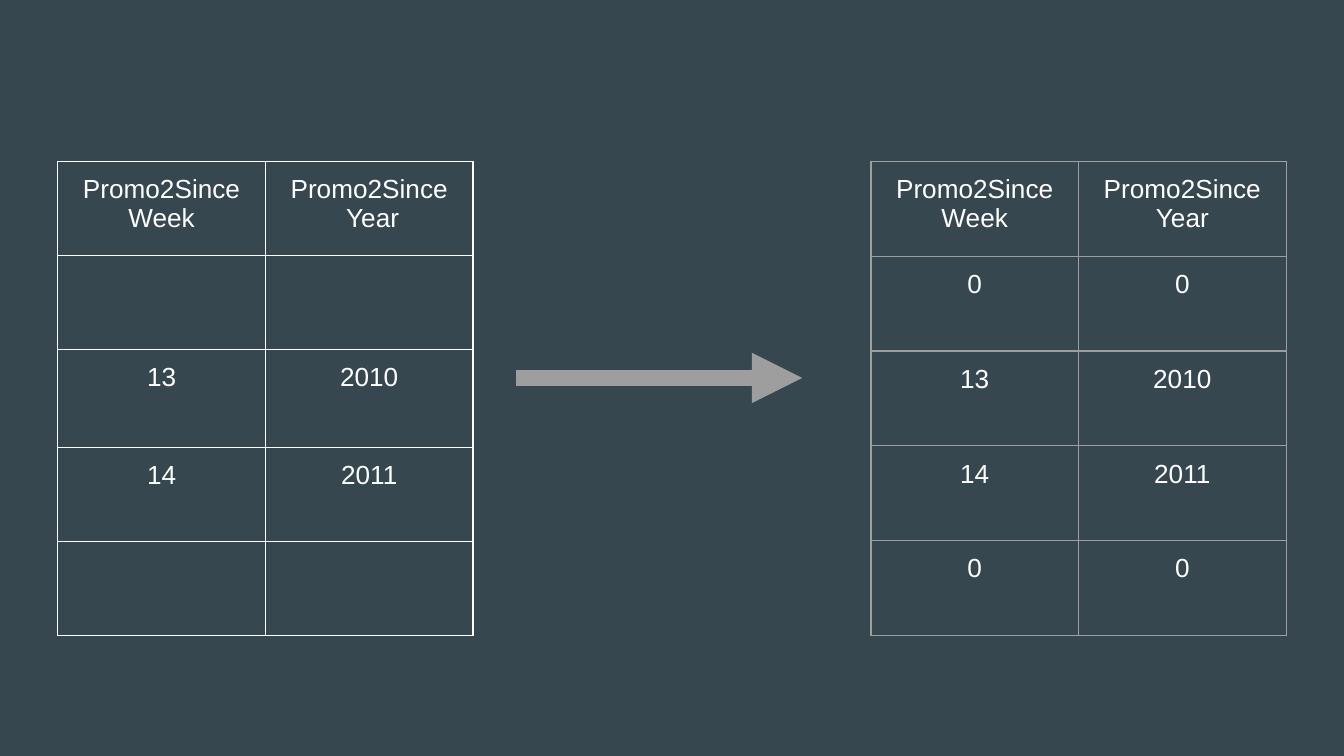
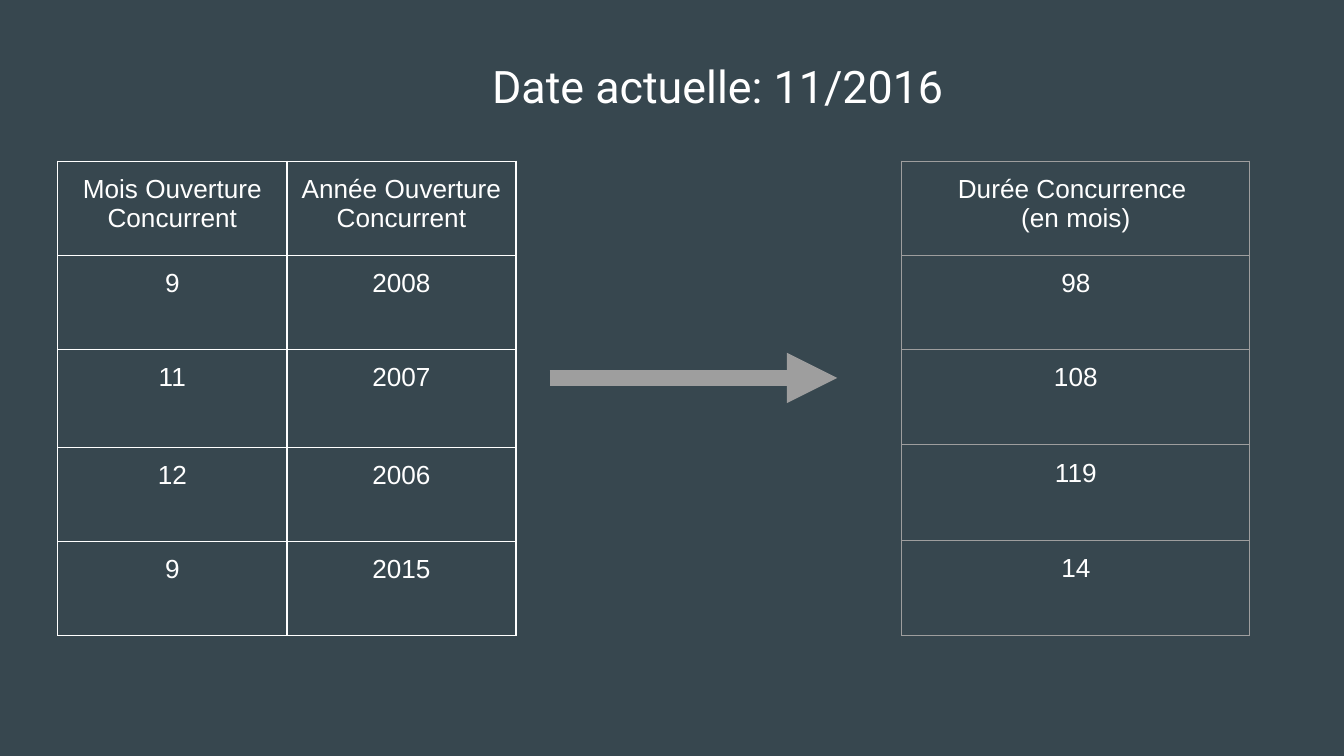
from lxml import etree
from pptx import Presentation
from pptx.dml.color import RGBColor
from pptx.enum.shapes import MSO_CONNECTOR
from pptx.enum.text import PP_ALIGN
from pptx.oxml.ns import qn
from pptx.util import Inches, Pt

STRAIGHT = MSO_CONNECTOR.STRAIGHT
CENTER = PP_ALIGN.CENTER

SLATE = RGBColor(0x37, 0x47, 0x4F)
WHITE = RGBColor(0xFF, 0xFF, 0xFF)
GRAY = RGBColor(0x9E, 0x9E, 0x9E)

MARGIN = Inches(0.1)
INPUT_ROWS = [0.7, 0.7, 0.73, 0.7, 0.7]


def write(tf, text, size=14, font="Arial", color=WHITE, align=CENTER):
    for i, line in enumerate(text.split("\n")):
        p = tf.paragraphs[0] if i == 0 else tf.add_paragraph()
        p.alignment = align
        r = p.add_run()
        r.text = line
        r.font.size = Pt(size)
        r.font.name = font
        r.font.color.rgb = color


def set_margins(target):
    target.margin_left = target.margin_right = MARGIN
    target.margin_top = target.margin_bottom = MARGIN


def set_borders(cell, color, width=0.75):
    tcPr = cell._tc.get_or_add_tcPr()
    for side in ("lnL", "lnR", "lnT", "lnB"):
        ln = etree.SubElement(tcPr, qn(f"a:{side}"), w=str(Pt(width)))
        fill = etree.SubElement(ln, qn("a:solidFill"))
        etree.SubElement(fill, qn("a:srgbClr"), val=str(color))


class Deck:
    def __init__(self):
        self.prs = Presentation()
        self.prs.slide_width = Inches(10)
        self.prs.slide_height = Inches(10) * 9 // 16
        self.s = None

    def slide(self):
        self.s = self.prs.slides.add_slide(self.prs.slide_layouts[6])
        fill = self.s.background.fill
        fill.solid()
        fill.fore_color.rgb = SLATE

    def title(self, text, x, y, w, h):
        sp = self.s.shapes.add_textbox(Inches(x), Inches(y), Inches(w), Inches(h))
        tf = sp.text_frame
        tf.word_wrap = True
        set_margins(tf)
        write(tf, text, size=24, font="Roboto")

    def table(self, x, y, width, row_heights, rows, border):
        cols = len(rows[0])
        frame = self.s.shapes.add_table(
            len(rows), cols, Inches(x), Inches(y),
            Inches(width), Inches(sum(row_heights)))
        table = frame.table
        table.first_row = False
        table.horz_banding = False
        for col in table.columns:
            col.width = Inches(width) // cols
        for i, (height, values) in enumerate(zip(row_heights, rows)):
            table.rows[i].height = Inches(height)
            for j, value in enumerate(values):
                cell = table.cell(i, j)
                set_margins(cell)
                set_borders(cell, border)
                cell.fill.background()
                if value:
                    write(cell.text_frame, value)

    def arrow(self, x1, x2):
        y = self.prs.slide_height // 2
        line = self.s.shapes.add_connector(STRAIGHT, Inches(x1), y, Inches(x2), y)
        line.line.color.rgb = GRAY
        line.line.width = Pt(9)
        ln = line._element.spPr.find(qn("a:ln"))
        etree.SubElement(ln, qn("a:tailEnd"), type="triangle")
        etree.SubElement(line._element.spPr, qn("a:effectLst"))


def promo_slide(deck):
    deck.slide()
    week = "Promo2SinceWeek"
    known = [("13", "2010"), ("14", "2011")]
    missing, filled = ("", ""), ("0", "0")
    before = [(week, "Promo2Since\n Year"), missing, *known, missing]
    after = [(week, "Promo2Since\nYear"), filled, *known, filled]
    deck.table(0.43, 1.2, 3.09, INPUT_ROWS, before, WHITE)
    deck.table(6.48, 1.2, 3.09, [3.53 / 5] * 5, after, GRAY)
    deck.arrow(3.84, 5.97)


def competition_slide(deck):
    deck.slide()
    openings = [
        ("Mois Ouverture\nConcurrent", "Année Ouverture\nConcurrent"),
        ("9", "2008"), ("11", "2007"), ("12", "2006"), ("9", "2015"),
    ]
    durations = [("Durée Concurrence \n(en mois)",), ("98",), ("108",), ("119",), ("14",)]
    deck.table(0.43, 1.2, 3.41, INPUT_ROWS, openings, WHITE)
    deck.arrow(4.09, 6.23)
    deck.table(6.71, 1.2, 2.59, [0.7] * 2 + [0.71] * 3, durations, GRAY)
    deck.title("Date actuelle: 11/2016", 2.88, 0.34, 4.92, 0.57)


def main():
    deck = Deck()
    promo_slide(deck)
    competition_slide(deck)
    deck.prs.save("out.pptx")


if __name__ == "__main__":
    main()
